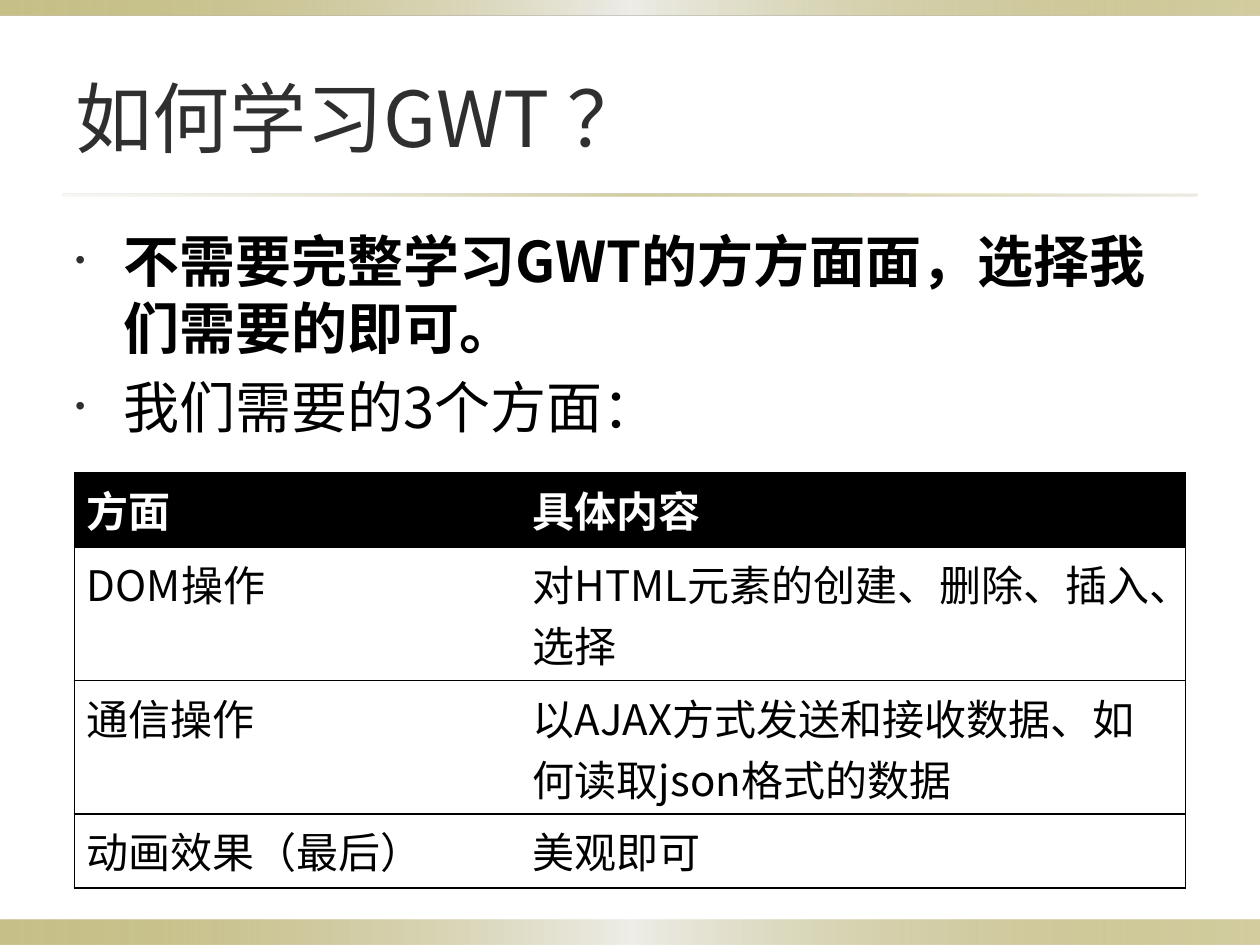
"""Builds a slide on how to learn GWT, with a table of the needed aspects."""
from lxml.etree import SubElement
from pptx import Presentation
from pptx.dml.color import RGBColor
from pptx.enum.shapes import MSO_SHAPE
from pptx.enum.text import MSO_ANCHOR
from pptx.oxml.ns import qn
from pptx.util import Inches, Pt

COLORS = {"olive": "918415", "mist": "EEEDE8", "sand": "DCD9CC",
          "ink": "2F2F2F", "black": "000000", "white": "FFFFFF"}
HEADING_FONT = "Noto Sans CJK SC"
BODY_FONT = "Noto Sans CJK JP"
BAND = [(0, "olive", 50), (50, "mist", 100), (100, "olive", 40)]
RULE = [(0, "sand", 20), (50, "olive", 40), (100, "sand", 50)]
POINTS = [("不需要完整学习GWT的方方面面，选择我们需要的即可。", True),
          ("我们需要的3个方面：", False)]
ASPECTS = [("方面", "具体内容"),
           ("DOM操作", "对HTML元素的创建、删除、插入、选择"),
           ("通信操作", "以AJAX方式发送和接收数据、如何读取json格式的数据"),
           ("动画效果（最后）", "美观即可")]
COLUMN_WIDTHS = (3.54, 5.28)
ROW_HEIGHTS = (0.59, 1.06, 1.06, 0.59)


def add_color(parent, color, opacity=100):
    node = SubElement(parent, qn("a:srgbClr"), val=COLORS[color])
    if opacity < 100:
        SubElement(node, qn("a:alpha"), val=str(opacity * 1000))


def add_gradient_bar(slide, box, stops):
    bar = slide.shapes.add_shape(MSO_SHAPE.RECTANGLE, *map(Inches, box))
    bar.shadow.inherit = False
    bar.line.fill.background()
    bar.fill.gradient()
    bar.fill.gradient_angle = 0
    stop_list = bar.fill._xPr.find(qn("a:gradFill")).find(qn("a:gsLst"))
    for stop in list(stop_list):
        stop_list.remove(stop)
    for position, color, opacity in stops:
        stop = SubElement(stop_list, qn("a:gs"), pos=str(position * 1000))
        add_color(stop, color, opacity)


def add_run(paragraph, text, size, color, font=BODY_FONT, bold=False):
    run = paragraph.add_run()
    run.text = text
    for name, value in {"size": Pt(size), "name": font, "bold": bold}.items():
        setattr(run.font, name, value)
    run.font.color.rgb = RGBColor.from_string(COLORS[color])
    SubElement(run.font._element, qn("a:ea"), typeface=font)


def add_text_frame(slide, box, anchor):
    frame = slide.shapes.add_textbox(*map(Inches, box)).text_frame
    for name, value in {"word_wrap": True, "vertical_anchor": anchor}.items():
        setattr(frame, name, value)
    return frame


def add_title(slide, text):
    frame = add_text_frame(slide, (0.5, 0.3, 9, 1.25), MSO_ANCHOR.MIDDLE)
    add_run(frame.paragraphs[0], text, 44, "ink", HEADING_FONT)


def add_bullets(slide, points):
    frame = add_text_frame(slide, (0.5, 1.75, 9, 1.9), MSO_ANCHOR.TOP)
    for index, (text, bold) in enumerate(points):
        point = frame.add_paragraph() if index else frame.paragraphs[0]
        point.space_before = Pt(6.4)
        properties = point._p.get_or_add_pPr()
        properties.set("marL", str(Inches(0.38)))
        properties.set("indent", str(-Inches(0.38)))
        add_color(SubElement(properties, qn("a:buClr")), "ink")
        SubElement(properties, qn("a:buSzPct"), val="50000")
        SubElement(properties, qn("a:buFont"), typeface="Arial")
        SubElement(properties, qn("a:buChar"), char="•")
        add_run(point, text, 32, "black", bold=bold)


def add_borders(cell, sides):
    properties = cell._tc.get_or_add_tcPr()
    for side in ("L", "R", "T", "B"):
        width = Pt(1) if side in sides else 0
        border = SubElement(properties, qn(f"a:ln{side}"), w=str(width))
        if side in sides:
            add_color(SubElement(border, qn("a:solidFill")), "black")
        else:
            SubElement(border, qn("a:noFill"))


def add_aspect_table(slide, rows):
    box = (0.59, 3.75, sum(COLUMN_WIDTHS), sum(ROW_HEIGHTS))
    table = slide.shapes.add_table(len(rows), 2, *map(Inches, box)).table
    for column, width in zip(table.columns, COLUMN_WIDTHS):
        column.width = Inches(width)
    for row, height in zip(table.rows, ROW_HEIGHTS):
        row.height = Inches(height)
    for r, texts in enumerate(rows):
        header = r == 0
        for c, text in enumerate(texts):
            cell = table.cell(r, c)
            add_borders(cell, "LTB" if c == 0 else "RTB")
            if header:
                cell.fill.solid()
                cell.fill.fore_color.rgb = RGBColor.from_string(COLORS["black"])
            else:
                cell.fill.background()
            add_run(cell.text_frame.paragraphs[0], text, 24,
                    "white" if header else "black", bold=header)


def main():
    deck = Presentation()
    deck.slide_width, deck.slide_height = Inches(10), Inches(7.5)
    slide = deck.slides.add_slide(deck.slide_layouts[6])
    add_gradient_bar(slide, (0, 7.3, 10, 0.2), BAND)
    add_gradient_bar(slide, (0, 0, 10, 0.12), BAND)
    add_gradient_bar(slide, (0.5, 1.54, 9, 0.02), RULE)
    add_title(slide, "如何学习GWT ？")
    add_bullets(slide, POINTS)
    add_aspect_table(slide, ASPECTS)
    deck.save("out.pptx")


main()
